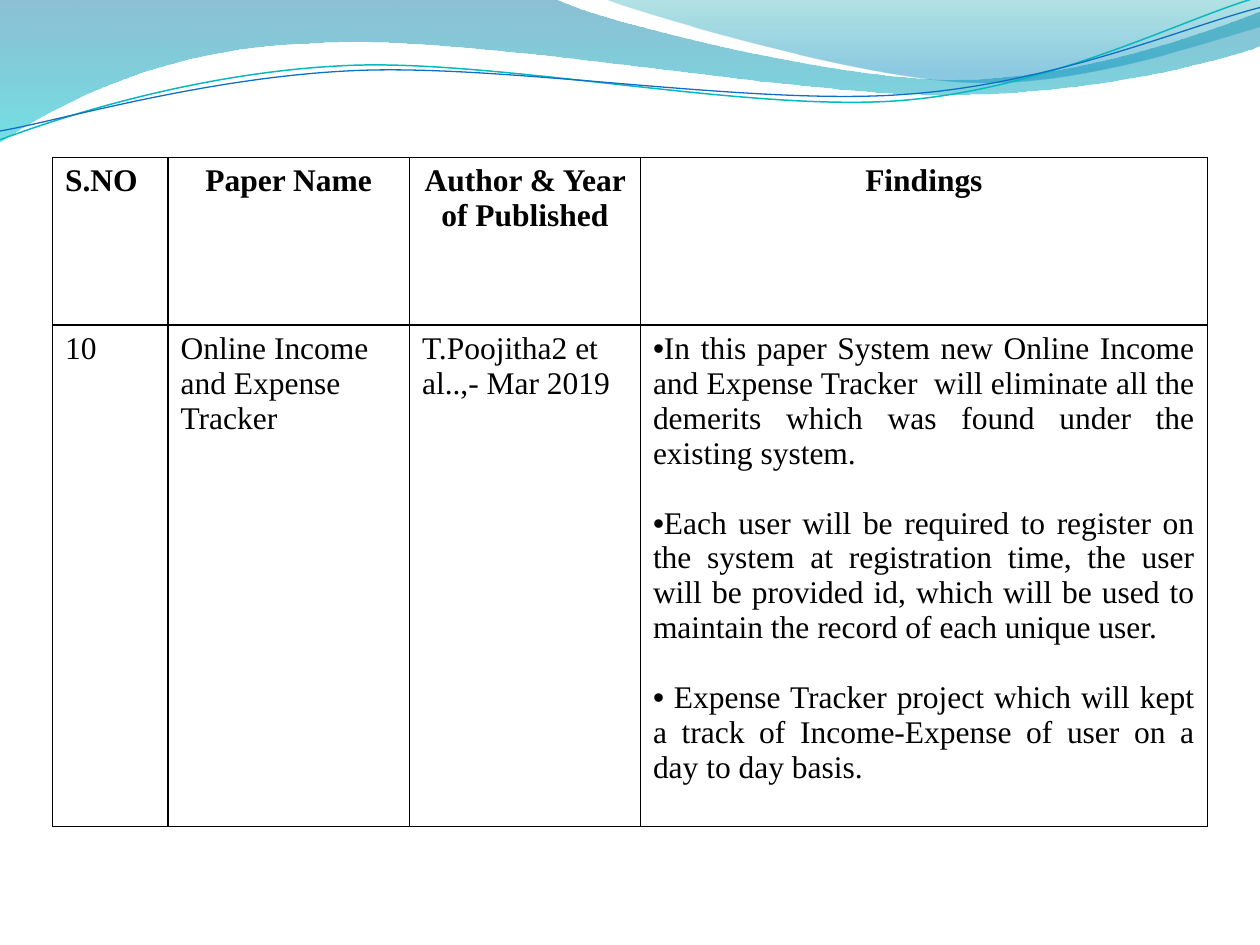
from dataclasses import dataclass
from typing import Optional

from lxml import etree
from pptx import Presentation
from pptx.dml.color import RGBColor
from pptx.enum.text import PP_ALIGN
from pptx.oxml.ns import qn
from pptx.util import Inches, Pt

LEFT, CENTER, JUSTIFY = PP_ALIGN.LEFT, PP_ALIGN.CENTER, PP_ALIGN.JUSTIFY
BLANK_LAYOUT = 6
COLORS = {
    "text": "000000", "border": "000000",
    "deep": "0074A1", "aqua": "00C6CF", "teal": "00A1A9", "sky": "008BBF",
    "teal_line": "0AB8BF", "blue_line": "0F6FC6",
}
TEXT_FORMAT = {"name": "Times New Roman", "size": Pt(18)}


@dataclass
class Wave:
    """A segment of two numbers is a line; one of six is a cubic curve."""
    start: tuple
    segments: list
    stops: tuple = ()  # (position %, color, opacity %)
    line: Optional[tuple] = None  # (color, width in points)


@dataclass
class CellText:
    paragraphs: list
    align: PP_ALIGN = LEFT
    bold: bool = False
    bullets: bool = False


WAVES = [
    Wave((0, 0), [
        (4.4, -0.01), (4.76, 0.17, 6.64, 0.63, 7.58, 0.63),
        (8.53, 0.63, 9.58, 0.26, 10, 0.09), (10.01, 0.36),
        (9.83, 0.44, 8.7, 0.76, 7.46, 0.75),
        (6.22, 0.75, 3.82, 0.28, 2.57, 0.34),
        (1.29, 0.36, 0.46, 0.83, -0.01, 1.13), (0, 0),
    ], stops=((0, "deep", 45), (100, "aqua", 55))),
    Wave((4.79, -0.01), [
        (5.09, 0.11, 6.82, 0.62, 7.69, 0.65),
        (8.56, 0.69, 9.61, 0.32, 10, 0.21), (10, 0), (4.79, -0.01),
    ], stops=((0, "teal", 30), (80, "sky", 45))),
    Wave((0, 1.11), [
        (0.48, 0.93, 1.58, 0.57, 2.77, 0.52),
        (3.95, 0.47, 5.93, 0.89, 7.13, 0.8),
        (8.33, 0.71, 9.38, 0.15, 9.98, -0.02),
    ], line=("teal_line", 0.85)),
    Wave((0, 1.04), [
        (0.47, 0.96, 1.64, 0.61, 2.83, 0.56),
        (4.03, 0.51, 5.97, 0.84, 7.17, 0.75),
        (8.36, 0.67, 9.41, 0.21, 10, 0.06),
    ], line=("blue_line", 0.75)),
]

# Table grid in twelfths of an inch
COL_WIDTHS = [Inches(n / 12) for n in (11, 23, 22, 54)]
ROW_HEIGHTS = [Inches(1.33), Inches(3.98)]
ROWS = [
    [
        CellText(["S.NO"], bold=True),
        CellText(["Paper Name"], CENTER, bold=True),
        CellText(["Author & Year of Published"], CENTER, bold=True),
        CellText(["Findings"], CENTER, bold=True),
    ],
    [
        CellText(["10"]),
        CellText(["Online Income and Expense Tracker"]),
        CellText(["T.Poojitha2 et al..,- Mar 2019"]),
        CellText([
            "In this paper System new Online Income and Expense Tracker  will "
            "eliminate all the demerits which was found under the existing system.",
            "Each user will be required to register on the system at registration "
            "time, the user will be provided id, which will be used to maintain "
            "the record of each unique user.",
            " Expense Tracker project which will kept a track of Income-Expense "
            "of user on a day to day basis.",
        ], JUSTIFY, bullets=True),
    ],
]


def rgb(name: str) -> RGBColor:
    return RGBColor.from_string(COLORS[name])


def add_color(parent, name: str):
    return etree.SubElement(parent, qn("a:srgbClr"), val=COLORS[name])


def bend_curves(sp, segments: list) -> None:
    """Join each curve's three straight steps into one cubic curve."""
    steps = iter(list(sp._element.iter(qn("a:lnTo"))))
    for segment in segments:
        first = next(steps)
        if len(segment) == 6:
            curve = etree.Element(qn("a:cubicBezTo"))
            first.addprevious(curve)
            for step in (first, next(steps), next(steps)):
                curve.append(step[0])
                step.getparent().remove(step)


def set_gradient(sp, stops: tuple) -> None:
    sp.fill.gradient()
    sp.fill.gradient_angle = 270
    gs_lst = next(sp._element.iter(qn("a:gsLst")))
    for gs in list(gs_lst):
        gs_lst.remove(gs)
    for position, color, opacity in stops:
        gs = etree.SubElement(gs_lst, qn("a:gs"), pos=str(position * 1000))
        etree.SubElement(add_color(gs, color), qn("a:alpha"), val=str(opacity * 1000))


def add_wave(slide, wave: Wave) -> None:
    x, y = wave.start
    builder = slide.shapes.build_freeform(Inches(x), Inches(y))
    points = [(Inches(seg[i]), Inches(seg[i + 1]))
              for seg in wave.segments for i in range(0, len(seg), 2)]
    builder.add_line_segments(points, close=bool(wave.stops))
    sp = builder.convert_to_shape()
    bend_curves(sp, wave.segments)
    sp.shadow.inherit = False
    if wave.stops:
        set_gradient(sp, wave.stops)
        sp.line.fill.background()
    if wave.line:
        color, width = wave.line
        sp.fill.background()
        sp.line.color.rgb = rgb(color)
        sp.line.width = Pt(width)


def set_borders(cell) -> None:
    tc_pr = cell._tc.get_or_add_tcPr()
    for side in ("lnL", "lnR", "lnT", "lnB"):
        ln = etree.SubElement(tc_pr, qn(f"a:{side}"), w=str(Pt(1)))
        add_color(etree.SubElement(ln, qn("a:solidFill")), "border")


def fill_cell(cell, content: CellText) -> None:
    set_borders(cell)
    cell.fill.background()
    tf = cell.text_frame
    for i, text in enumerate(content.paragraphs):
        p = tf.add_paragraph() if i else tf.paragraphs[0]
        p.alignment = content.align
        if i:
            p.space_before = Pt(20)
        if content.bullets:
            p_pr = p._p.get_or_add_pPr()
            etree.SubElement(p_pr, qn("a:buFont"), typeface="Arial")
            etree.SubElement(p_pr, qn("a:buChar"), char="•")
        r = p.add_run()
        r.text = text
        for key, value in {**TEXT_FORMAT, "bold": content.bold}.items():
            setattr(r.font, key, value)
        r.font.color.rgb = rgb("text")


def add_papers_table(slide) -> None:
    frame = slide.shapes.add_table(
        len(ROWS), len(COL_WIDTHS), Inches(5 / 12), Inches(1.25),
        sum(COL_WIDTHS), sum(ROW_HEIGHTS))
    table = frame.table
    table.first_row = table.horz_banding = False
    for column, width in zip(table.columns, COL_WIDTHS):
        column.width = width
    for row, height, contents in zip(table.rows, ROW_HEIGHTS, ROWS):
        row.height = height
        for cell, content in zip(row.cells, contents):
            fill_cell(cell, content)


def main() -> None:
    prs = Presentation()
    prs.slide_width, prs.slide_height = Inches(10), Inches(7.5)
    slide = prs.slides.add_slide(prs.slide_layouts[BLANK_LAYOUT])

    # Wave decoration along the top
    for wave in WAVES:
        add_wave(slide, wave)

    # Literature survey table
    add_papers_table(slide)

    prs.save("out.pptx")


if __name__ == "__main__":
    main()
